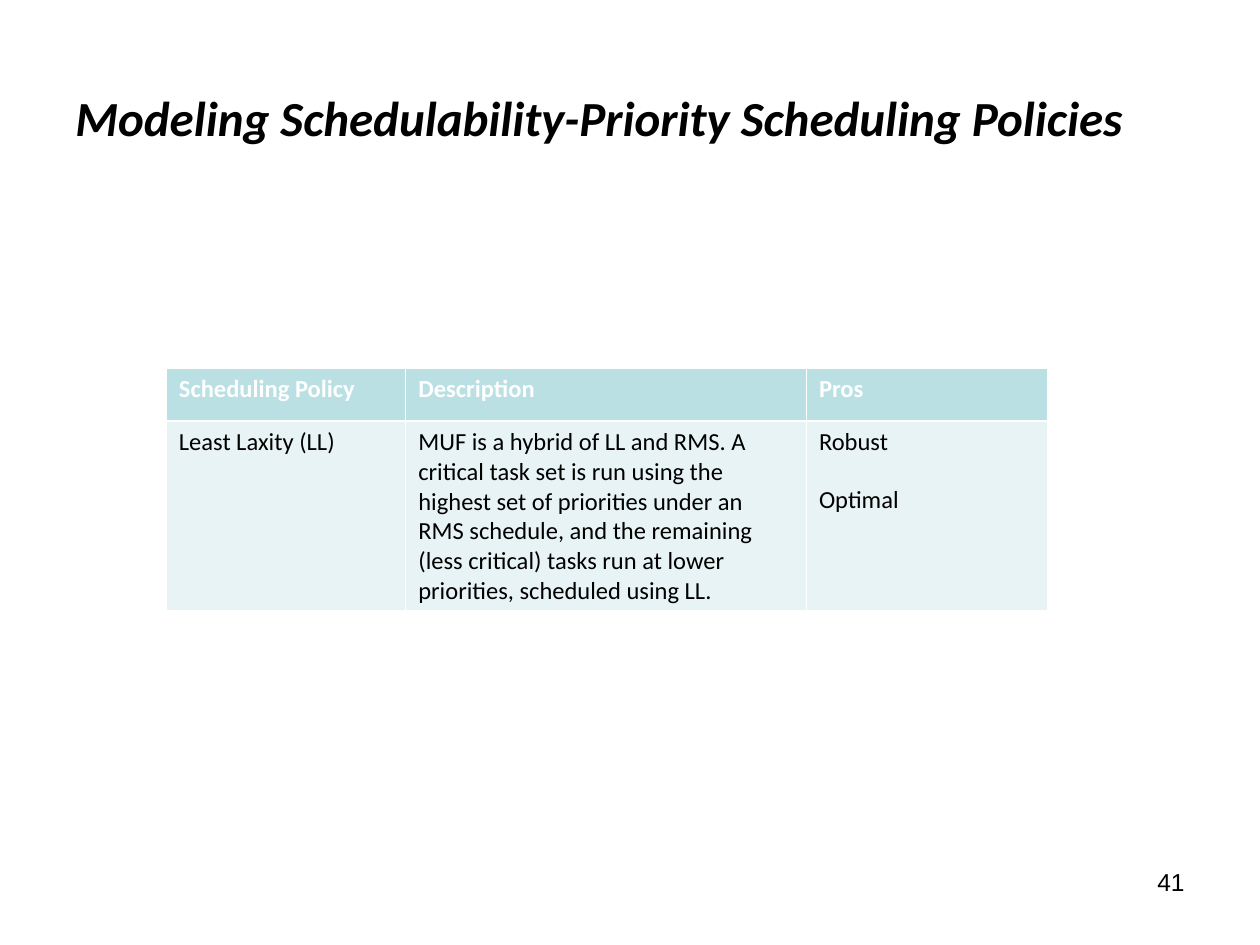
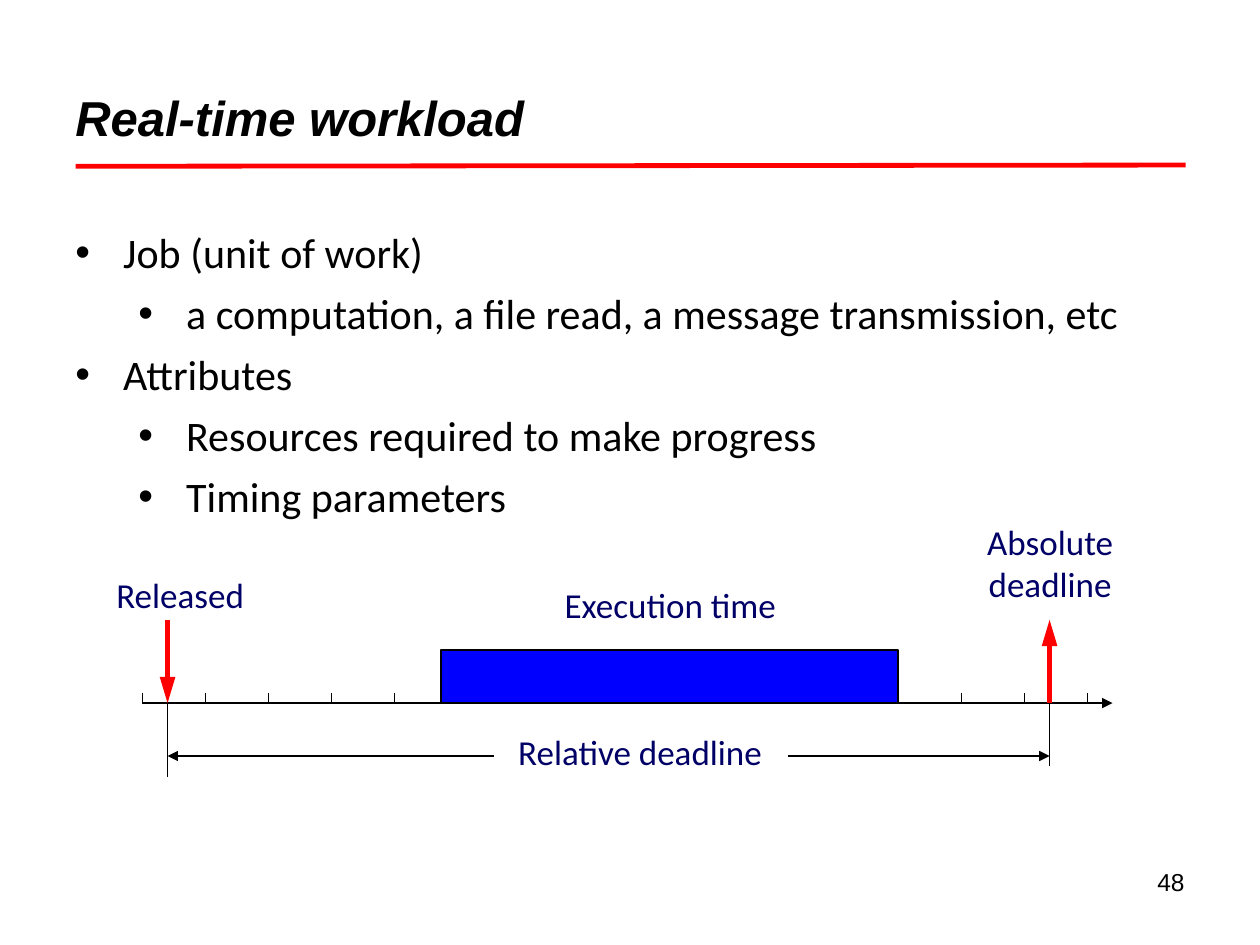
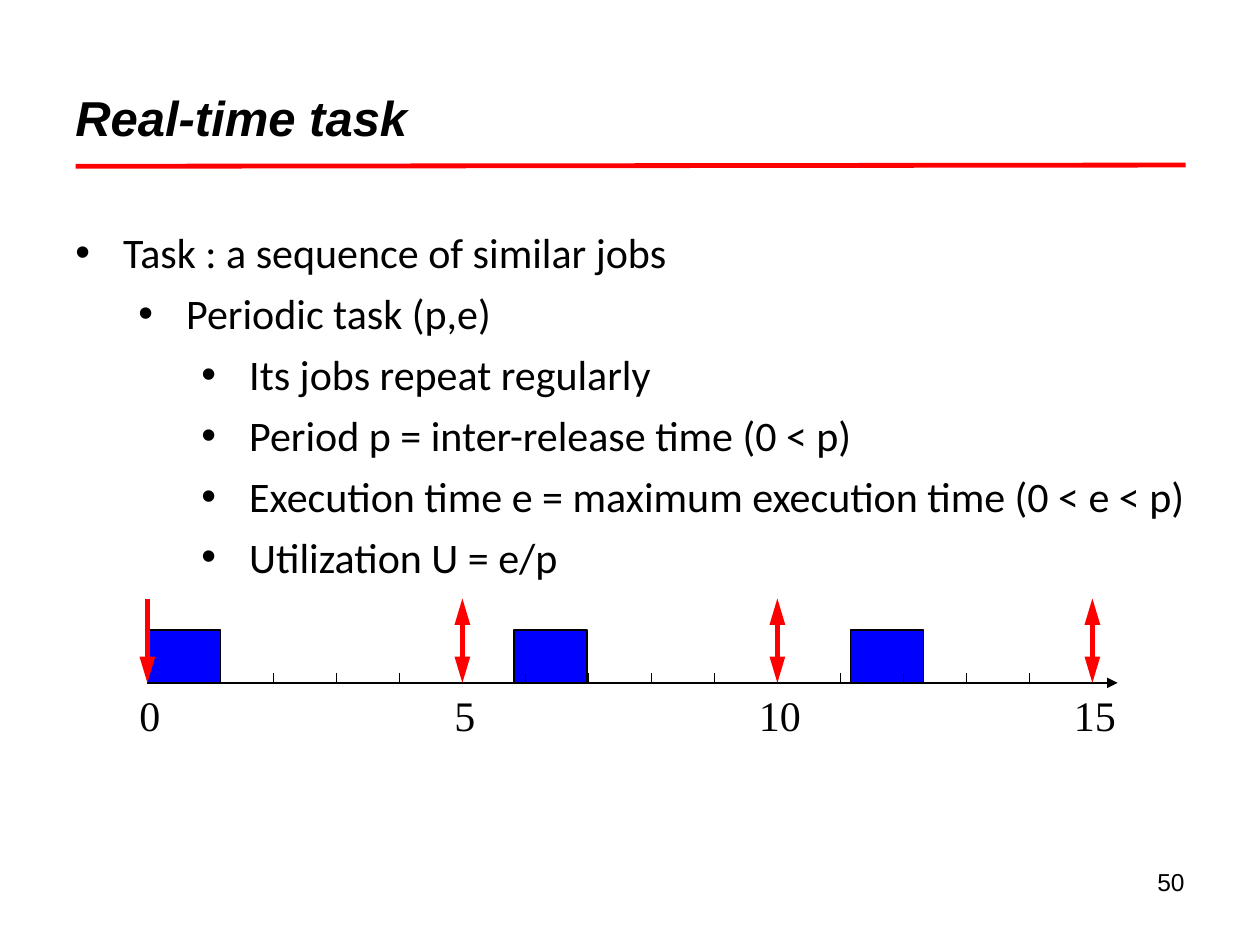
"""Build three slides on real-time scheduling, workloads and tasks."""
import dataclasses
import typing

import lxml.etree
import pptx
import pptx.dml.color
import pptx.enum.shapes
import pptx.enum.text
import pptx.oxml.ns
import pptx.util

Inches = pptx.util.Inches
Pt = pptx.util.Pt
qn = pptx.oxml.ns.qn
ALIGN = pptx.enum.text.PP_ALIGN

COLORS = {
    "black": "000000",
    "white": "FFFFFF",
    "red": "FF0000",
    "blue": "0000FF",
    "navy": "000066",
    "header": "BBE0E3",
    "row": "E7F3F4",
}

TITLE = {"size": Pt(28), "bold": True, "italic": True, "name": "Arial"}
BODY = {"size": Pt(24), "name": "Calibri"}
LABEL = {"size": Pt(20), "name": "Calibri"}
SCALE = {"size": Pt(24), "name": "Times New Roman"}
NUMBER = {"size": Pt(14), "name": "Arial"}
CELL = {"size": Pt(14), "name": "Calibri", "bold": False}
HEADER_CELL = {**CELL, "bold": True}

MARGINS = {
    "margin_left": Inches(0.1),
    "margin_right": Inches(0.1),
    "margin_top": Inches(0.05),
    "margin_bottom": Inches(0.05),
}
TICK_STEP = 0.5
TICK_COUNT = 16
JOB_HEIGHT = 0.42


@dataclasses.dataclass(frozen=True)
class Box:
    left: float
    top: float
    width: float
    height: float

    def lengths(self) -> list[int]:
        return [Inches(v) for v in dataclasses.astuple(self)]


@dataclasses.dataclass(frozen=True)
class Line:
    x1: float
    y1: float
    x2: float
    y2: float
    color: str = "black"
    width: float = 0.75
    head: str = ""
    tail: str = ""


@dataclasses.dataclass(frozen=True)
class Label:
    text: str
    box: Box


@dataclasses.dataclass(frozen=True)
class Bullet:
    level: int
    text: str


@dataclasses.dataclass(frozen=True)
class Timeline:
    left: float
    top: float


TITLE_BOX = Box(0.5, 0.3, 9, 1.25)
BODY_BOX = Box(0.5, 1.75, 9.1, 4.95)
NUMBER_BOX = Box(7.17, 6.83, 2.33, 0.52)
TITLE_RULE = Line(0.6, 1.32, 9.41, 1.31, "red", 2.75)

TABLE_BOX = Box(1.32, 2.92, 6.99, 1.92)
COLUMN_WIDTHS = [1.9, 3.18, 1.91]
ROW_HEIGHTS = [0.42, 1.5]
POLICY_ROWS = [
    ["Scheduling Policy", "Description", "Pros"],
    [
        "Least Laxity (LL)",
        "MUF is a hybrid of LL and RMS. A critical task set is run using the "
        "highest set of priorities under an RMS schedule, and the remaining "
        "(less critical) tasks run at lower priorities, scheduled using LL.",
        "Robust\nOptimal",
    ],
]

WORKLOAD_BULLETS = [
    Bullet(0, "Job (unit of work)"),
    Bullet(1, "a computation, a file read, a message transmission, etc"),
    Bullet(0, "Attributes"),
    Bullet(1, "Resources required to make progress"),
    Bullet(1, "Timing parameters"),
]
WORKLOAD_LABELS = [
    Label("Released", Box(0.64, 4.5, 1.58, 0.44)),
    Label("Absolute deadline", Box(7.67, 4.08, 1.33, 0.77)),
    Label("Relative deadline", Box(3.79, 5.75, 2.58, 0.44)),
    Label("Execution time", Box(3.83, 4.58, 2.98, 0.44)),
]
WORKLOAD_LINES = [
    Line(1.33, 5.58, 1.33, 6.17),
    Line(8.33, 5.58, 8.33, 6.08),
    Line(6.25, 6, 8.33, 6, tail="med"),
    Line(3.92, 6, 1.33, 6, tail="med"),
    Line(1.33, 4.92, 1.33, 5.58, "red", 3, tail="lg"),
    Line(8.33, 4.92, 8.33, 5.58, "red", 3, head="lg"),
]

TASK_BULLETS = [
    Bullet(0, "Task : a sequence of similar jobs"),
    Bullet(1, "Periodic task (p,e)"),
    Bullet(2, "Its jobs repeat regularly"),
    Bullet(2, "Period p = inter-release time (0 < p)"),
    Bullet(2, "Execution time e = maximum execution time (0 < e < p)"),
    Bullet(2, "Utilization U = e/p"),
]


def rgb(name: str) -> pptx.dml.color.RGBColor:
    return pptx.dml.color.RGBColor.from_string(COLORS[name])


def set_attrs(target: typing.Any, values: dict[str, typing.Any]) -> None:
    for name, value in values.items():
        setattr(target, name, value)


def add_xml(parent: typing.Any, tag: str, **attrs: str) -> typing.Any:
    return lxml.etree.SubElement(parent, qn(tag), attrs)


def set_font(font: typing.Any, fmt: dict[str, typing.Any], color: str) -> None:
    set_attrs(font, fmt)
    font.color.rgb = rgb(color)


def add_text(s: typing.Any, text: str, box: Box, fmt: dict[str, typing.Any],
             color: str = "black", align: ALIGN = ALIGN.LEFT, wrap: bool = True,
             middle: bool = False) -> None:
    tf = s.shapes.add_textbox(*box.lengths()).text_frame
    set_attrs(tf, {**MARGINS, "word_wrap": wrap})
    if middle:
        tf.vertical_anchor = pptx.enum.text.MSO_ANCHOR.MIDDLE
    p = tf.paragraphs[0]
    p.alignment = align
    r = p.add_run()
    r.text = text
    set_font(r.font, fmt, color)


def add_bullets(s: typing.Any, bullets: list[Bullet]) -> None:
    tf = s.shapes.add_textbox(*BODY_BOX.lengths()).text_frame
    set_attrs(tf, {**MARGINS, "word_wrap": True})
    for i, bullet in enumerate(bullets):
        p = tf.add_paragraph() if i else tf.paragraphs[0]
        set_attrs(p, {"level": bullet.level, "alignment": ALIGN.JUSTIFY,
                      "space_before": Pt(6 if i else 0)})
        pPr = p._p.get_or_add_pPr()
        pPr.set("marL", str(Inches(0.38 + 0.5 * bullet.level)))
        pPr.set("indent", str(Inches(-0.38)))
        add_xml(add_xml(pPr, "a:buClr"), "a:srgbClr", val=COLORS["black"])
        add_xml(pPr, "a:buFont", typeface="Arial")
        add_xml(pPr, "a:buChar", char="•")
        r = p.add_run()
        r.text = bullet.text
        set_font(r.font, BODY, "black")


def add_line(s: typing.Any, line: Line) -> None:
    ends = [Inches(v) for v in (line.x1, line.y1, line.x2, line.y2)]
    sp = s.shapes.add_connector(pptx.enum.shapes.MSO_CONNECTOR.STRAIGHT, *ends)
    sp.line.color.rgb = rgb(line.color)
    sp.line.width = Pt(line.width)
    spPr = sp._element.spPr
    ln = spPr.find(qn("a:ln"))
    for tag, length in (("a:headEnd", line.head), ("a:tailEnd", line.tail)):
        if length:
            add_xml(ln, tag, type="triangle", w="med", len=length)
    add_xml(spPr, "a:effectLst")


def add_job(s: typing.Any, left: float, bottom: float, width: float) -> None:
    box = Box(left, bottom - JOB_HEIGHT, width, JOB_HEIGHT)
    sp = s.shapes.add_shape(pptx.enum.shapes.MSO_SHAPE.RECTANGLE, *box.lengths())
    sp.shadow.inherit = False
    sp.fill.solid()
    sp.fill.fore_color.rgb = rgb("blue")
    sp.line.color.rgb = rgb("black")
    sp.line.width = Pt(1)


def add_axis(s: typing.Any, axis: Timeline) -> None:
    x, y = axis.left, axis.top
    add_line(s, Line(x, y, x + 7.54, y))
    for i in range(TICK_COUNT):
        tick = x + i * TICK_STEP
        add_line(s, Line(tick, y - 0.08, tick, y))
    add_line(s, Line(x + 7.45, y, x + 7.7, y, tail="med"))


def add_borders(cell: typing.Any, header: bool) -> None:
    thin, thick = Pt(0.45), Pt(1.47)
    widths = {"a:lnL": thin, "a:lnR": thin, "a:lnT": thin if header else thick,
              "a:lnB": thick if header else thin}
    tcPr = cell._tc.get_or_add_tcPr()
    for i, (tag, width) in enumerate(widths.items()):
        ln = add_xml(tcPr, tag, w=str(width))
        add_xml(add_xml(ln, "a:solidFill"), "a:srgbClr", val=COLORS["white"])
        tcPr.insert(i, ln)


def add_policy_table(s: typing.Any) -> None:
    table = s.shapes.add_table(len(ROW_HEIGHTS), len(COLUMN_WIDTHS),
                               *TABLE_BOX.lengths()).table
    for column, width in zip(table.columns, COLUMN_WIDTHS):
        column.width = Inches(width)
    for i, (row, height, texts) in enumerate(zip(table.rows, ROW_HEIGHTS, POLICY_ROWS)):
        row.height = Inches(height)
        header = i == 0
        for cell, text in zip(row.cells, texts):
            cell.fill.solid()
            cell.fill.fore_color.rgb = rgb("header" if header else "row")
            add_borders(cell, header)
            cell.text_frame.text = text
            for j, p in enumerate(cell.text_frame.paragraphs):
                p.space_before = Pt(16 if j else 0)
                set_font(p.runs[0].font, HEADER_CELL if header else CELL,
                         "white" if header else "black")


def add_slide(prs: typing.Any, title: str, number: int, font: str = "Arial",
              rule: bool = True) -> typing.Any:
    s = prs.slides.add_slide(prs.slide_layouts[6])
    add_text(s, title, TITLE_BOX, {**TITLE, "name": font}, middle=True)
    add_text(s, str(number), NUMBER_BOX, NUMBER, align=ALIGN.RIGHT)
    if rule:
        add_line(s, TITLE_RULE)
    return s


def build_policies(prs: typing.Any) -> None:
    s = add_slide(prs, "Modeling Schedulability-Priority Scheduling Policies", 41,
                  font="Calibri", rule=False)
    add_policy_table(s)


def build_workload(prs: typing.Any) -> None:
    s = add_slide(prs, "Real-time workload", 48)
    add_bullets(s, WORKLOAD_BULLETS)
    axis = Timeline(1.13, 5.58)
    add_axis(s, axis)
    add_job(s, 3.5, axis.top, 3.63)
    for label in WORKLOAD_LABELS:
        add_text(s, label.text, label.box, LABEL, "navy", ALIGN.CENTER)
    for line in WORKLOAD_LINES:
        add_line(s, line)


def build_task(prs: typing.Any) -> None:
    s = add_slide(prs, "Real-time task", 50)
    add_bullets(s, TASK_BULLETS)
    axis = Timeline(1.17, 5.42)
    for left in (4.08, 6.75):
        add_job(s, left, axis.top, 0.58)
    add_axis(s, axis)
    add_job(s, axis.left, axis.top, 0.58)
    for time in range(0, TICK_COUNT, 5):
        x = axis.left + time * TICK_STEP
        add_line(s, Line(x, axis.top - 0.67, x, axis.top, "red", 3,
                         head="lg" if time else "", tail="lg"))
        width = 0.37 if time < 10 else 0.54
        box = Box(x + 0.02 - width / 2, axis.top, width, 0.5)
        add_text(s, str(time), box, SCALE, align=ALIGN.CENTER, wrap=False)


def main() -> None:
    prs = pptx.Presentation()
    prs.slide_width = Inches(10)
    prs.slide_height = Inches(7.5)
    build_policies(prs)
    build_workload(prs)
    build_task(prs)
    prs.save("out.pptx")


if __name__ == "__main__":
    main()
